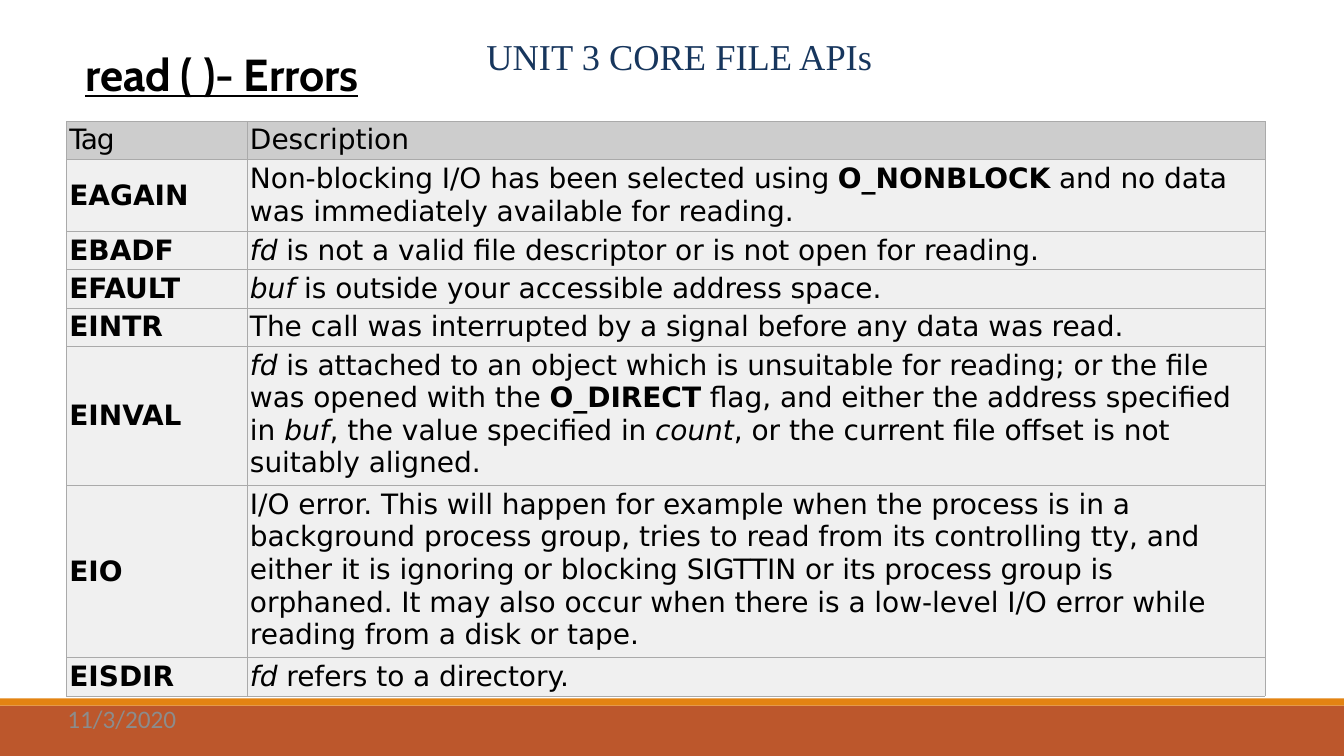
"""Build the slide listing the errors that read() can return."""
import pptx
import pptx.dml.color
import pptx.enum.shapes
import pptx.enum.text
import pptx.oxml
import pptx.oxml.ns
import pptx.util

Cm = pptx.util.Cm
Pt = pptx.util.Pt

COLORS = {
    "band": "BC572C",
    "stripe": "E38312",
    "heading": "17365D",
    "text": "000000",
    "date": "8C8C8C",
    "border": "AAAAAA",
    "header_fill": "CDCDCD",
    "row_fill": "F0F0F0",
}


def rgb(name):
    return pptx.dml.color.RGBColor.from_string(COLORS[name])


def style_run(run, font_name, size, color, spacing=0):
    run.font.name = font_name
    run.font.size = Pt(size)
    run.font.color.rgb = rgb(color)
    if spacing:
        run._r.get_or_add_rPr().set("spc", str(spacing))


presentation = pptx.Presentation()
presentation.slide_width = Cm(33.87)
presentation.slide_height = Cm(19.05)
slide = presentation.slides.add_slide(presentation.slide_layouts[6])

for color, top, height in [("band", 17.78, 1.27), ("stripe", 17.6, 0.18)]:
    bar = slide.shapes.add_shape(
        pptx.enum.shapes.MSO_SHAPE.RECTANGLE, 0, Cm(top), presentation.slide_width, Cm(height))
    bar.shadow.inherit = False
    bar.fill.solid()
    bar.fill.fore_color.rgb = rgb(color)
    bar.line.fill.background()

# Asterisks enclose emphasis: bold for upper-case names, italic for arguments.
ERRORS = [
    ("Tag", "Description", 0.96),
    ("*EAGAIN*", "Non-blocking I/O has been selected using *O_NONBLOCK* and no data "
     "was immediately available for reading.", 1.81),
    ("*EBADF*", "*fd* is not a valid file descriptor or is not open for reading.", 0.96),
    ("*EFAULT*", "*buf* is outside your accessible address space.", 0.96),
    ("*EINTR*", "The call was interrupted by a signal before any data was read.", 0.96),
    ("*EINVAL*", "*fd* is attached to an object which is unsuitable for reading; or the file "
     "was opened with the *O_DIRECT* flag, and either the address specified in *buf*, "
     "the value specified in *count*, or the current file offset is not suitably aligned.", 3.51),
    ("*EIO*", "I/O error. This will happen for example when the process is in a background "
     "process group, tries to read from its controlling tty, and either it is ignoring or "
     "blocking SIGTTIN or its process group is orphaned. It may also occur when there is a "
     "low-level I/O error while reading from a disk or tape.", 4.34),
    ("*EISDIR*", "*fd* refers to a directory.", 0.96),
]
COLUMN_WIDTHS = [4.55, 25.65]

table = slide.shapes.add_table(
    len(ERRORS), len(COLUMN_WIDTHS), Cm(1.68), Cm(3.07),
    Cm(sum(COLUMN_WIDTHS)), Cm(sum(row[2] for row in ERRORS))).table
table.first_row = False
table.horz_banding = False
for column, width in zip(table.columns, COLUMN_WIDTHS):
    column.width = Cm(width)

for row_index, (tag, description, height) in enumerate(ERRORS):
    table.rows[row_index].height = Cm(height)
    for column_index, marked_text in enumerate([tag, description]):
        cell = table.cell(row_index, column_index)
        cell.margin_left = Cm(0.07)
        cell.margin_right = Cm(0.2)
        cell.margin_top = Cm(0.07 if row_index else 0.03)
        cell.margin_bottom = Cm(0.07 if column_index == 0 else 0)
        if column_index == 0 and row_index > 0:
            cell.vertical_anchor = pptx.enum.text.MSO_ANCHOR.MIDDLE
        paragraph = cell.text_frame.paragraphs[0]
        for piece_index, piece in enumerate(marked_text.split("*")):
            if not piece:
                continue
            run = paragraph.add_run()
            run.text = piece
            style_run(run, "DejaVu Sans", 20, "text", -80 if piece == "Tag" else -5)
            if piece_index % 2:
                run.font.bold = piece.isupper()
                run.font.italic = not piece.isupper()
        properties = cell._tc.get_or_add_tcPr()
        for side in ["lnL", "lnR", "lnT", "lnB"]:
            properties.append(pptx.oxml.parse_xml(
                f'<a:{side} {pptx.oxml.ns.nsdecls("a")} w="9525"><a:solidFill>'
                f'<a:srgbClr val="{COLORS["border"]}"/></a:solidFill></a:{side}>'))
        cell.fill.solid()
        cell.fill.fore_color.rgb = rgb("row_fill" if row_index else "header_fill")

LABELS = [
    ("UNIT 3 CORE FILE APIs", 12.26, 0.86, 11.28, 1.14, "Times New Roman", 26, "heading", False),
    ("read ( )- Errors", 2.15, 1.17, 8.28, 1.42, "Cabin", 32, "text", True),
    ("11/3/2020", 1.7, 17.72, 7.8, 0.97, "Calibri", 18, "date", False),
]
for text, left, top, width, height, font_name, size, color, emphasized in LABELS:
    label = slide.shapes.add_textbox(Cm(left), Cm(top), Cm(width), Cm(height))
    frame = label.text_frame
    frame.margin_left = frame.margin_right = frame.margin_top = frame.margin_bottom = 0
    frame.word_wrap = True
    frame.text = text
    run = frame.paragraphs[0].runs[0]
    style_run(run, font_name, size, color, -8 if emphasized else 0)
    run.font.bold = emphasized
    run.font.underline = emphasized

presentation.save("out.pptx")
